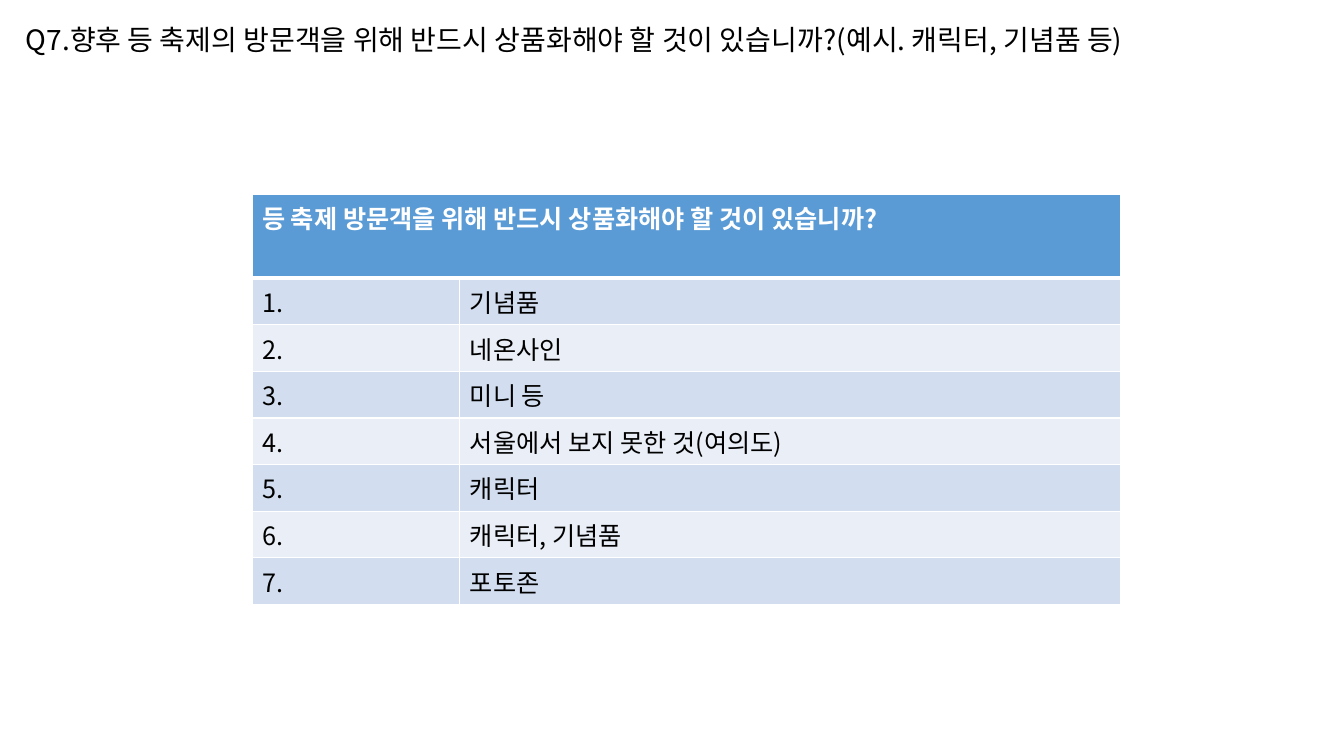
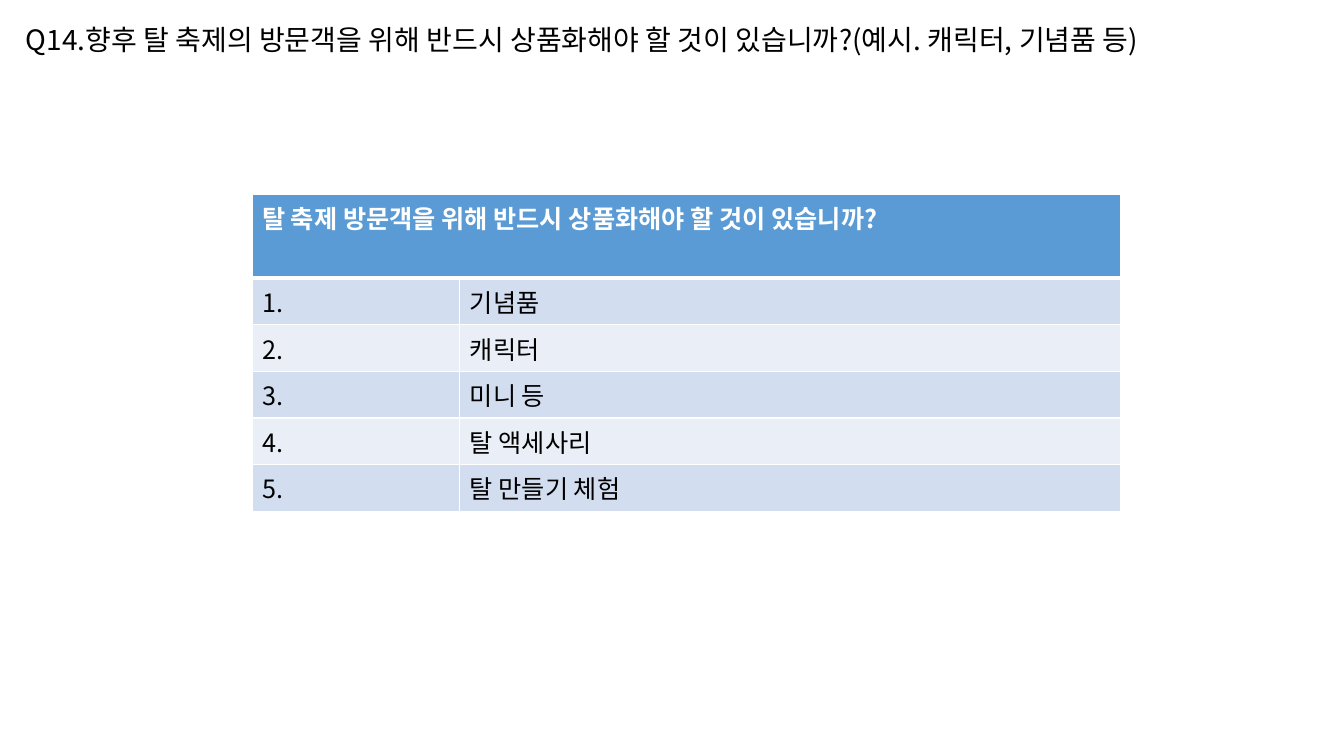
from dataclasses import dataclass

from lxml import etree
from pptx import Presentation
from pptx.dml.color import RGBColor
from pptx.enum.text import MSO_ANCHOR, MSO_AUTO_SIZE, PP_ALIGN
from pptx.oxml.ns import qn
from pptx.util import Emu, Pt

LEFT = PP_ALIGN.LEFT
MIDDLE = MSO_ANCHOR.MIDDLE
NO_AUTOFIT = MSO_AUTO_SIZE.NONE
TITLE_ONLY = 5
EMU_PER_PX = 9525


@dataclass(frozen=True)
class Theme:
    font: str = "Noto Sans CJK KR"
    ink: str = "000000"
    white: str = "FFFFFF"
    header: str = "5B9BD5"
    bands: tuple = ("D2DEEF", "EAEFF7")
    title_size: int = 20
    table_size: int = 18
    rule: int = 1
    header_rule: int = 3


SURVEY = [
    (
        "Q7.향후 등 축제의 방문객을 위해 반드시 상품화해야 할 것이 있습니까?(예시. 캐릭터, 기념품 등)",
        "등 축제 방문객을 위해 반드시 상품화해야 할 것이 있습니까?",
        ["기념품", "네온사인", "미니 등", "서울에서 보지 못한 것(여의도)",
         "캐릭터", "캐릭터, 기념품", "포토존"],
    ),
    (
        "Q14.향후 탈 축제의 방문객을 위해 반드시 상품화해야 할 것이 있습니까?(예시. 캐릭터, 기념품 등)",
        "탈 축제 방문객을 위해 반드시 상품화해야 할 것이 있습니까?",
        ["기념품", "캐릭터", "미니 등", "탈 액세사리", "탈 만들기 체험"],
    ),
]


def px(length):
    return Emu(length * EMU_PER_PX)


class SurveyDeck:
    """Holds the style and the current slide of the survey deck."""

    def __init__(self, theme):
        self.theme = theme
        self.prs = Presentation()
        self.prs.slide_width, self.prs.slide_height = px(1280), px(720)
        self.slide = None

    def add_slide(self, question):
        self.slide = self.prs.slides.add_slide(self.prs.slide_layouts[TITLE_ONLY])
        title = self.slide.shapes.title
        title.left, title.top, title.width, title.height = map(px, (15, 16, 1200, 42))
        frame = title.text_frame
        frame.text = question
        frame.word_wrap = True
        frame.auto_size = NO_AUTOFIT
        frame.vertical_anchor = MIDDLE
        self.style_text(frame, self.theme.title_size, self.theme.ink)

    def style_text(self, frame, size, color, bold=False):
        for paragraph in frame.paragraphs:
            paragraph.alignment = LEFT
            for run in paragraph.runs:
                run.font.name = self.theme.font
                run.font.size = Pt(size)
                run.font.bold = bold
                run.font.color.rgb = RGBColor.from_string(color)
                east_asian = etree.SubElement(run.font._element, qn("a:ea"))
                east_asian.set("typeface", self.theme.font)

    def draw_borders(self, cell, top, bottom):
        properties = cell._tc.get_or_add_tcPr()
        widths = {"lnL": self.theme.rule, "lnR": self.theme.rule, "lnT": top, "lnB": bottom}
        for side, width in widths.items():
            line = etree.SubElement(properties, qn(f"a:{side}"), w=str(Pt(width)))
            fill = etree.SubElement(line, qn("a:solidFill"))
            etree.SubElement(fill, qn("a:srgbClr"), val=self.theme.white)

    def fill_cell(self, cell, text, row):
        theme = self.theme
        is_header = row == 0
        top = theme.header_rule if row == 1 else theme.rule
        bottom = theme.header_rule if is_header else theme.rule
        self.draw_borders(cell, top, bottom)
        cell.fill.solid()
        background = theme.header if is_header else theme.bands[(row - 1) % 2]
        cell.fill.fore_color.rgb = RGBColor.from_string(background)
        cell.text_frame.text = text
        color = theme.white if is_header else theme.ink
        self.style_text(cell.text_frame, theme.table_size, color, is_header)

    def add_answers(self, heading, answers):
        columns, heights = (198, 629), [80] + [44] * len(answers)
        frame = self.slide.shapes.add_table(
            len(heights), len(columns), px(240), px(185), px(sum(columns)), px(sum(heights)))
        table = frame.table
        for column, width in zip(table.columns, columns):
            column.width = px(width)
        for row, height in zip(table.rows, heights):
            row.height = px(height)
        table.cell(0, 0).merge(table.cell(0, 1))
        rows = [(heading, "")] + [(f"{n}.", answer) for n, answer in enumerate(answers, 1)]
        for r, texts in enumerate(rows):
            for c, text in enumerate(texts):
                self.fill_cell(table.cell(r, c), text, r)


def main():
    deck = SurveyDeck(Theme())
    for question, heading, answers in SURVEY:
        deck.add_slide(question)
        deck.add_answers(heading, answers)
    deck.prs.save("out.pptx")


if __name__ == "__main__":
    main()
